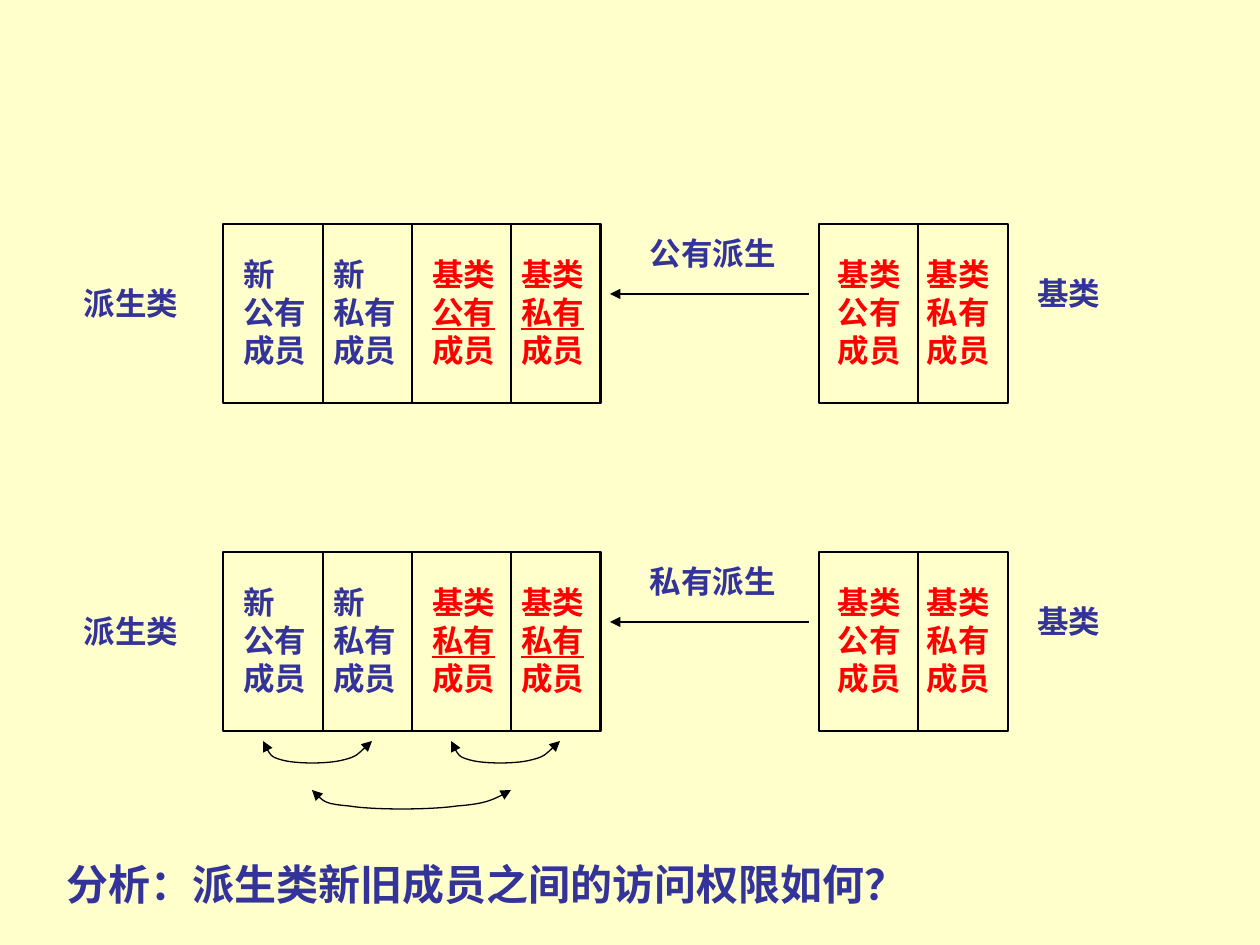
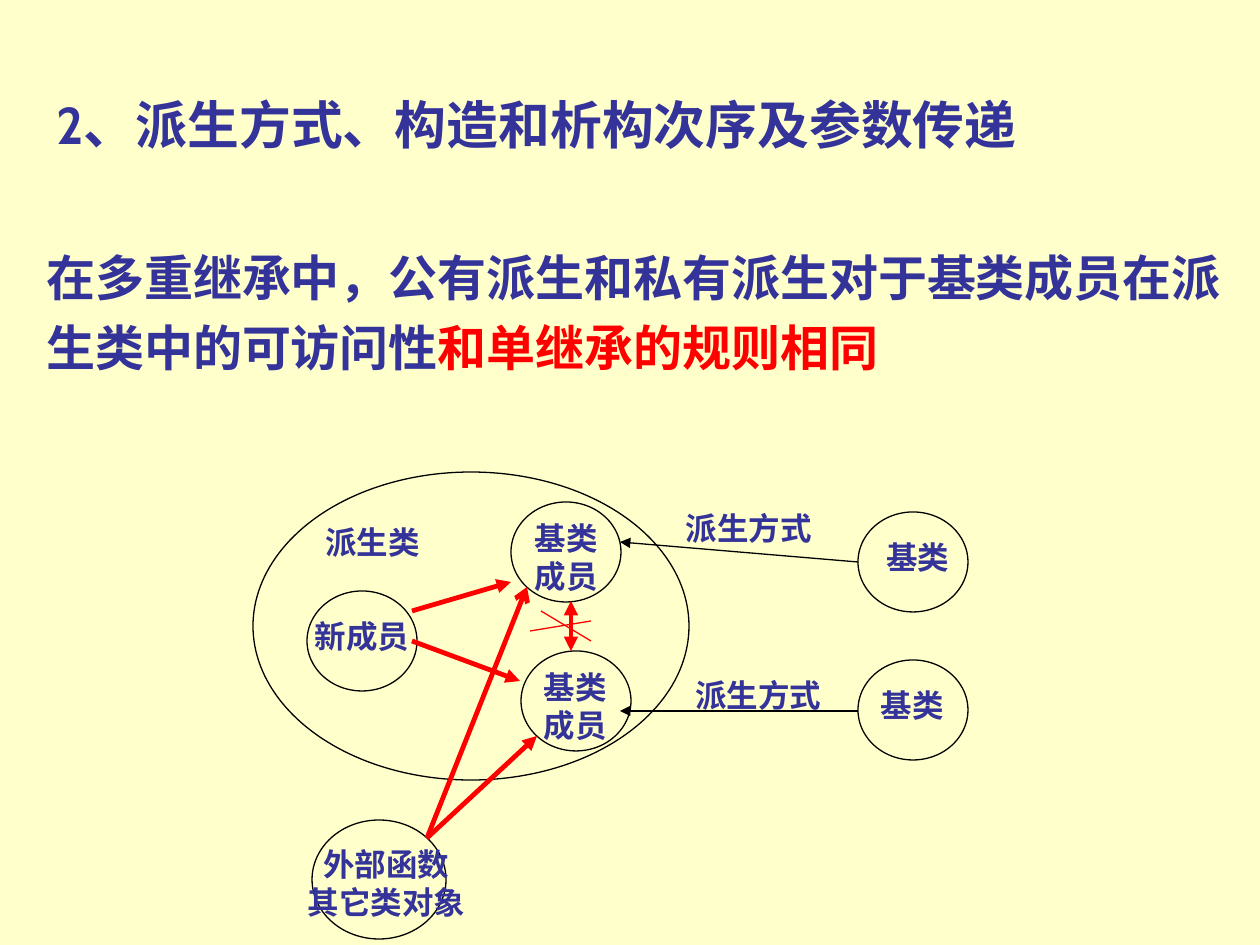
from lxml.etree import SubElement
from pptx import Presentation
from pptx.dml.color import RGBColor
from pptx.enum.shapes import MSO_CONNECTOR, MSO_SHAPE
from pptx.enum.text import MSO_ANCHOR, MSO_AUTO_SIZE, PP_ALIGN
from pptx.oxml.ns import qn
from pptx.util import Emu, Pt

PX = 914400 / 126
COLORS = {"bg": "FFFFCC", "ink": "333399", "red": "FF0000", "black": "000000"}
RGB = {name: RGBColor.from_string(value) for name, value in COLORS.items()}
LABEL = {"name": "Cabin", "size": Pt(18), "bold": True}
NODE = {**LABEL, "name": "Arial"}
QUESTION = {**LABEL, "size": Pt(24)}
TITLE = {**LABEL, "size": Pt(29.6)}
BODY = {**LABEL, "size": Pt(28)}


def add_text(s, box, paragraphs, font, inset=(0, 0), spacing=None, **frame):
    tb = s.shapes.add_textbox(*[Emu(round(v * PX)) for v in box])
    tf = tb.text_frame
    settings = {
        "word_wrap": True,
        "auto_size": MSO_AUTO_SIZE.SHAPE_TO_FIT_TEXT,
        "margin_left": Pt(inset[0]),
        "margin_right": Pt(inset[0]),
        "margin_top": Pt(inset[1]),
        "margin_bottom": Pt(inset[1]),
    }
    align = frame.pop("align", None)
    for key, value in {**settings, **frame}.items():
        setattr(tf, key, value)
    for i, runs in enumerate(paragraphs):
        p = tf.add_paragraph() if i else tf.paragraphs[0]
        p.alignment = align
        p.line_spacing = spacing
        for text, color, underline in runs:
            r = p.add_run()
            r.text = text
            for key, value in {**font, "underline": underline}.items():
                setattr(r.font, key, value)
            r.font.color.rgb = RGB[color]


def style_line(sp, color="black", width=0.75, head=None, tail=None):
    sp.line.color.rgb = RGB[color]
    sp.line.width = Pt(width)
    if hasattr(sp, "fill"):
        sp.fill.background()
    spPr = sp.element.spPr
    ln = spPr.find(qn("a:ln"))
    for tag, kind in (("a:headEnd", head), ("a:tailEnd", tail)):
        if kind:
            SubElement(ln, qn(tag), type=kind)
    SubElement(spPr, qn("a:effectLst"))


prs = Presentation()
prs.slide_width = Emu(round(1260 * PX))
prs.slide_height = Emu(round(945 * PX))
slides = []
for _ in range(2):
    s = prs.slides.add_slide(prs.slide_layouts[6])
    s.background.fill.solid()
    s.background.fill.fore_color.rgb = RGB["bg"]
    slides.append(s)

s = slides[0]
for top, access in ((224, "公有"), (552, "私有")):
    for x, w in ((819, 189), (223, 377), (412, 189)):
        box = [Emu(round(v * PX)) for v in (x, top, w, 179)]
        style_line(s.shapes.add_shape(MSO_SHAPE.RECTANGLE, *box))
    for x1, y1, x2, y2, tail in (
        (323, top, 323, top + 179, None),
        (511, top, 511, top + 179, None),
        (918, top, 918, top + 179, None),
        (809, top + 70, 610, top + 70, "triangle"),
    ):
        ends = [Emu(round(v * PX)) for v in (x1, y1, x2, y2)]
        style_line(s.shapes.add_connector(MSO_CONNECTOR.STRAIGHT, *ends), tail=tail)
    for x, owner, kind, color, underline in (
        (243, "新", "公有", "ink", False),
        (333, "新", "私有", "ink", False),
        (432, "基类", access, "red", True),
        (521, "基类", "私有", "red", True),
        (838, "基类", "公有", "red", False),
        (927, "基类", "私有", "red", False),
    ):
        rows = [[(owner, color, False)], [(kind, color, underline)], [("成员", color, False)]]
        add_text(s, (x, top + 31, 79, 113), rows, LABEL)
    for x, dy, w, text in (
        (84, 60, 118, "派生类"),
        (650, 10, 149, access + "派生"),
        (1037, 50, 79, "基类"),
    ):
        add_text(s, (x, top + dy, w, 38), [[(text, "ink", False)]], LABEL)

add_text(s, (54, 839, 1160, 76), [[("分析：派生类新旧成员之间的访问权限如何？", "ink", False)]],
         QUESTION, (7.2, 3.6), vertical_anchor=MSO_ANCHOR.BOTTOM, auto_size=MSO_AUTO_SIZE.NONE)

small_arc = [(0, 0), (3, 7), (7, 16), (19, 19), (33, 23), (65, 23), (80, 19), (94, 16), (101, 7), (109, 0)]
wide_arc = [(0, 0), (7, 8), (13, 14), (37, 16), (61, 20), (118, 20), (145, 16), (172, 14), (186, 8), (199, 0)]
for x, y, arc in ((263, 741, small_arc), (451, 741, small_arc), (312, 790, wide_arc)):
    points = [(x + dx, y + dy) for dx, dy in arc]
    builder = s.shapes.build_freeform(*points[0], scale=PX)
    builder.add_line_segments(points[1:], close=False)
    sp = builder.convert_to_shape()
    segments = sp.element.findall(".//" + qn("a:lnTo"))
    for i in range(0, len(segments), 3):
        curve = segments[i]
        curve.tag = qn("a:cubicBezTo")
        for segment in segments[i + 1:i + 3]:
            curve.append(segment[0])
            segment.getparent().remove(segment)
    style_line(sp, head="triangle", tail="triangle")

s = slides[1]
for box, runs, font, spacing in (
    ((44, 86, 1181, 76), [("2、派生方式、构造和析构次序及参数传递", "ink", False)], TITLE, 0.9),
    ((34, 224, 1211, 159), [
        ("在多重继承中，公有派生和私有派生对于基类成员在派生类中的可访问性", "ink", False),
        ("和单继承的规则相同", "red", False),
    ], BODY, 1.2),
):
    add_text(s, box, [runs], font, (7.2, 3.6), spacing,
             vertical_anchor=MSO_ANCHOR.BOTTOM, auto_size=MSO_AUTO_SIZE.NONE)

for x, y, w, h in (
    (858, 512, 110, 100),
    (858, 660, 110, 100),
    (253, 472, 436, 308),
    (511, 502, 110, 100),
    (521, 651, 110, 100),
    (307, 591, 110, 100),
    (312, 820, 134, 119),
):
    box = [Emu(round(v * PX)) for v in (x, y, w, h)]
    style_line(s.shapes.add_shape(MSO_SHAPE.OVAL, *box))

for x, y, w, rows in (
    (868, 532, 100, ["基类"]),
    (848, 680, 129, ["基类"]),
    (300, 517, 145, ["派生类"]),
    (511, 513, 110, ["基类", "成员"]),
    (520, 662, 110, ["基类", "成员"]),
    (292, 611, 140, ["新成员"]),
    (669, 503, 159, ["派生方式"]),
    (669, 670, 179, ["派生方式"]),
    (292, 839, 189, ["外部函数", "其它类对象"]),
):
    add_text(s, (x, y, w, 12 + 38 * len(rows)), [[(row, "ink", False)] for row in rows],
             NODE, (7.2, 3.6), align=PP_ALIGN.CENTER)

for x1, y1, x2, y2, color, width, head, tail in (
    (858, 562, 620, 542, "black", 0.75, None, "triangle"),
    (858, 711, 620, 711, "black", 0.75, None, "triangle"),
    (412, 611, 511, 582, "red", 2.75, None, "triangle"),
    (412, 641, 520, 681, "red", 2.75, None, "triangle"),
    (571, 601, 571, 651, "red", 2.75, "triangle", "triangle"),
    (591, 621, 530, 631, "red", 0.75, None, None),
    (541, 611, 591, 641, "red", 0.75, None, None),
    (427, 838, 537, 736, "red", 2.75, None, "triangle"),
    (427, 838, 527, 587, "red", 2.75, None, "arrow"),
):
    ends = [Emu(round(v * PX)) for v in (x1, y1, x2, y2)]
    style_line(s.shapes.add_connector(MSO_CONNECTOR.STRAIGHT, *ends), color, width, head, tail)

prs.save("out.pptx")
